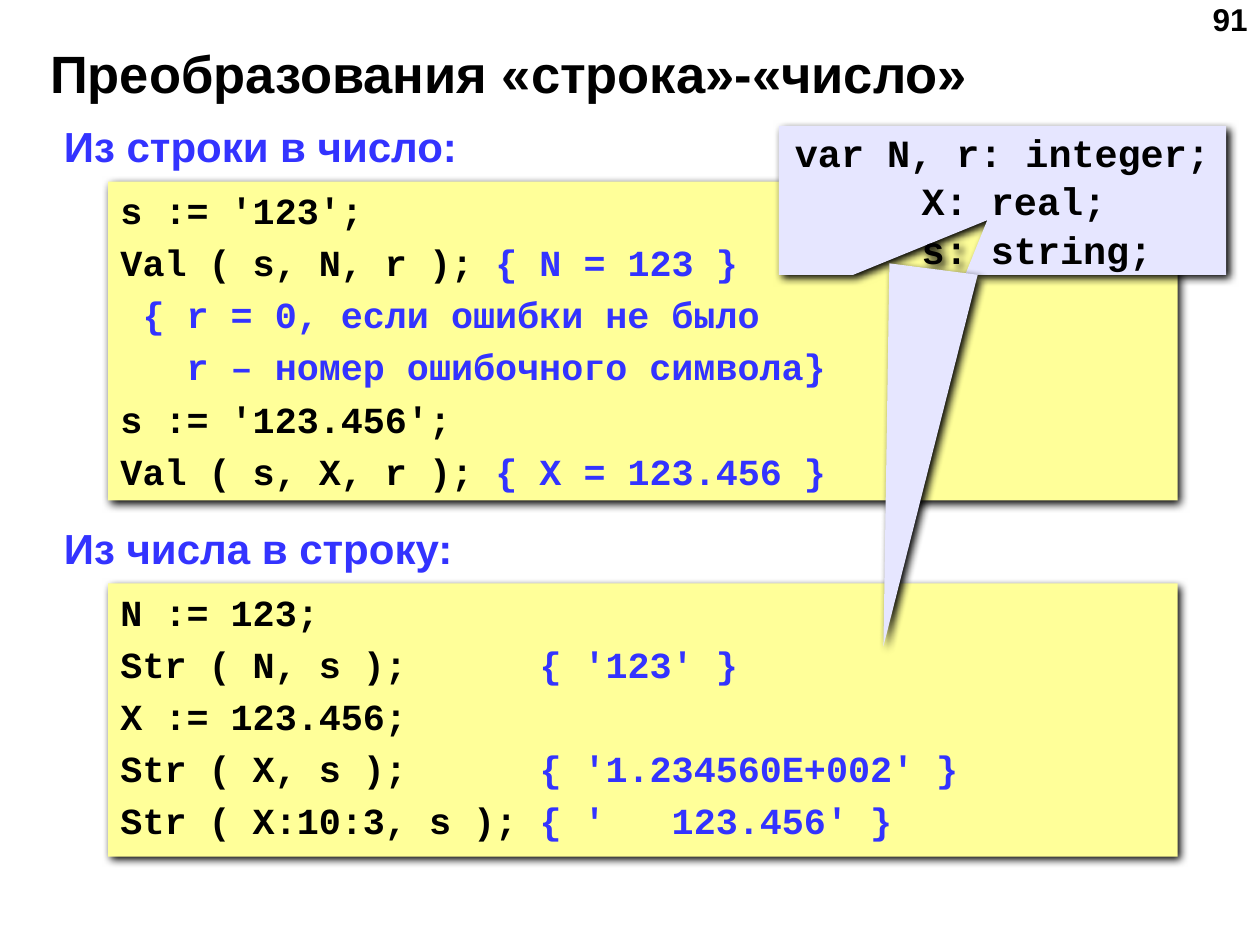
from dataclasses import dataclass

from lxml.etree import SubElement
from pptx import Presentation
from pptx.dml.color import RGBColor
from pptx.enum.shapes import MSO_SHAPE
from pptx.enum.text import MSO_ANCHOR, PP_ALIGN
from pptx.oxml.ns import qn
from pptx.util import Cm, Pt

BLACK, BLUE = "000000", "3333FF"
YELLOW, LILAC = "FFFF99", "E6E6FF"
SANS, MONO = "Arial", "Courier New"

Run = tuple[str, str]
Line = list[Run]


@dataclass
class Block:
    """A heading with a box of code under it."""
    top: float
    head: str
    height: float
    code: list[Line]


BLOCKS = [
    Block(2.31, "Из строки в число:", 6.43, [
        [("s := '123';", BLACK)],
        [("Val ( s, N, r ); ", BLACK), ("{ N = 123 }", BLUE)],
        [(" { r = 0, если ошибки не было", BLUE)],
        [("   r – номер ошибочного символа}", BLUE)],
        [("s := '123.456';", BLACK)],
        [("Val ( s, X, r ); ", BLACK), ("{ X = 123.456 }", BLUE)],
    ]),
    Block(10.41, "Из числа в строку:", 5.51, [
        [("N := 123;", BLACK)],
        [("Str ( N, s );      ", BLACK), ("{ '123' }", BLUE)],
        [("X := 123.456;", BLACK)],
        [("Str ( X, s );      ", BLACK), ("{ '1.234560E+002' }", BLUE)],
        [("Str ( X:10:3, s ); ", BLACK), ("{ '   123.456' }", BLUE)],
    ]),
]
VARS = ["var N, r: integer;", " X: real;", "   s: string;"]
TAIL = [(17.81, 13.03), (17.93, 5.31), (19.71, 5.54)]


def paint(color, value: str) -> None:
    color.rgb = RGBColor.from_string(value)


def write(shape, lines: list[Line], *, size: float, font: str = SANS,
          align=PP_ALIGN.LEFT, anchor=MSO_ANCHOR.TOP, before: float = 0) -> None:
    frame = shape.text_frame
    frame.word_wrap = True
    frame.vertical_anchor = anchor
    for i, line in enumerate(lines):
        para = frame.add_paragraph() if i else frame.paragraphs[0]
        para.alignment = align
        para.space_before = Pt(before)
        for text, color in line:
            run = para.add_run()
            run.text = text
            run.font.name, run.font.size, run.font.bold = font, Pt(size), True
            paint(run.font.color, color)


def style(shape, fill: str) -> None:
    """Fill the shape, drop its outline and give it a soft shadow."""
    shape.fill.solid()
    paint(shape.fill.fore_color, fill)
    shape.line.fill.background()
    shape.shadow.inherit = False
    effects = shape.element.spPr.find(qn("a:effectLst"))
    shade = SubElement(effects, qn("a:outerShdw"), blurRad=str(Pt(5)),
                       dist=str(Pt(2.8)), dir="2700000", algn="tl",
                       rotWithShape="0")
    SubElement(shade, qn("a:srgbClr"), val=BLACK)


def label(slide, left: float, top: float, width: float, height: float):
    return slide.shapes.add_textbox(Cm(left), Cm(top), Cm(width), Cm(height))


def panel(slide, kind, left: float, top: float, width: float, height: float,
          fill: str):
    shape = slide.shapes.add_shape(kind, Cm(left), Cm(top), Cm(width), Cm(height))
    style(shape, fill)
    return shape


def draw(slide, block: Block) -> None:
    head = label(slide, 1.04, block.top, 23.29, 1.27)
    write(head, [[(block.head, BLUE)]], size=24, before=3)
    box = panel(slide, MSO_SHAPE.RECTANGLE, 2.18, block.top + 1.35, 21.56,
                block.height, YELLOW)
    write(box, block.code, size=21, font=MONO, before=4.6)


def note(slide) -> None:
    """Draw the callout with the variables and its long tail."""
    box = panel(slide, MSO_SHAPE.ROUNDED_RECTANGULAR_CALLOUT,
                15.7, 2.54, 9.02, 3, LILAC)
    for i, value in enumerate((-0.034, 0.133, 0)):
        box.adjustments[i] = value
    write(box, [[(text, BLACK)] for text in VARS], size=22, font=MONO,
          align=PP_ALIGN.CENTER, anchor=MSO_ANCHOR.MIDDLE, before=1.4)
    start, *rest = [(Cm(x), Cm(y)) for x, y in TAIL]
    pen = slide.shapes.build_freeform(*start)
    pen.add_line_segments(rest, close=True)
    style(pen.convert_to_shape(), LILAC)


def main() -> None:
    deck = Presentation()
    deck.slide_width, deck.slide_height = Cm(25.4), Cm(19.05)
    slide = deck.slides.add_slide(deck.slide_layouts[5])
    title = slide.shapes.title
    title.left, title.top = Cm(0.76), Cm(0.71)
    title.width, title.height = Cm(24.64), Cm(1.5)
    write(title, [[("Преобразования «строка»-«число»", BLACK)]], size=30,
          anchor=MSO_ANCHOR.MIDDLE)
    page = label(slide, 19.48, -0.13, 5.92, 0.97)
    write(page, [[("91", BLACK)]], size=18, align=PP_ALIGN.RIGHT)
    for block in BLOCKS:
        draw(slide, block)
    note(slide)
    deck.save("out.pptx")


if __name__ == "__main__":
    main()
